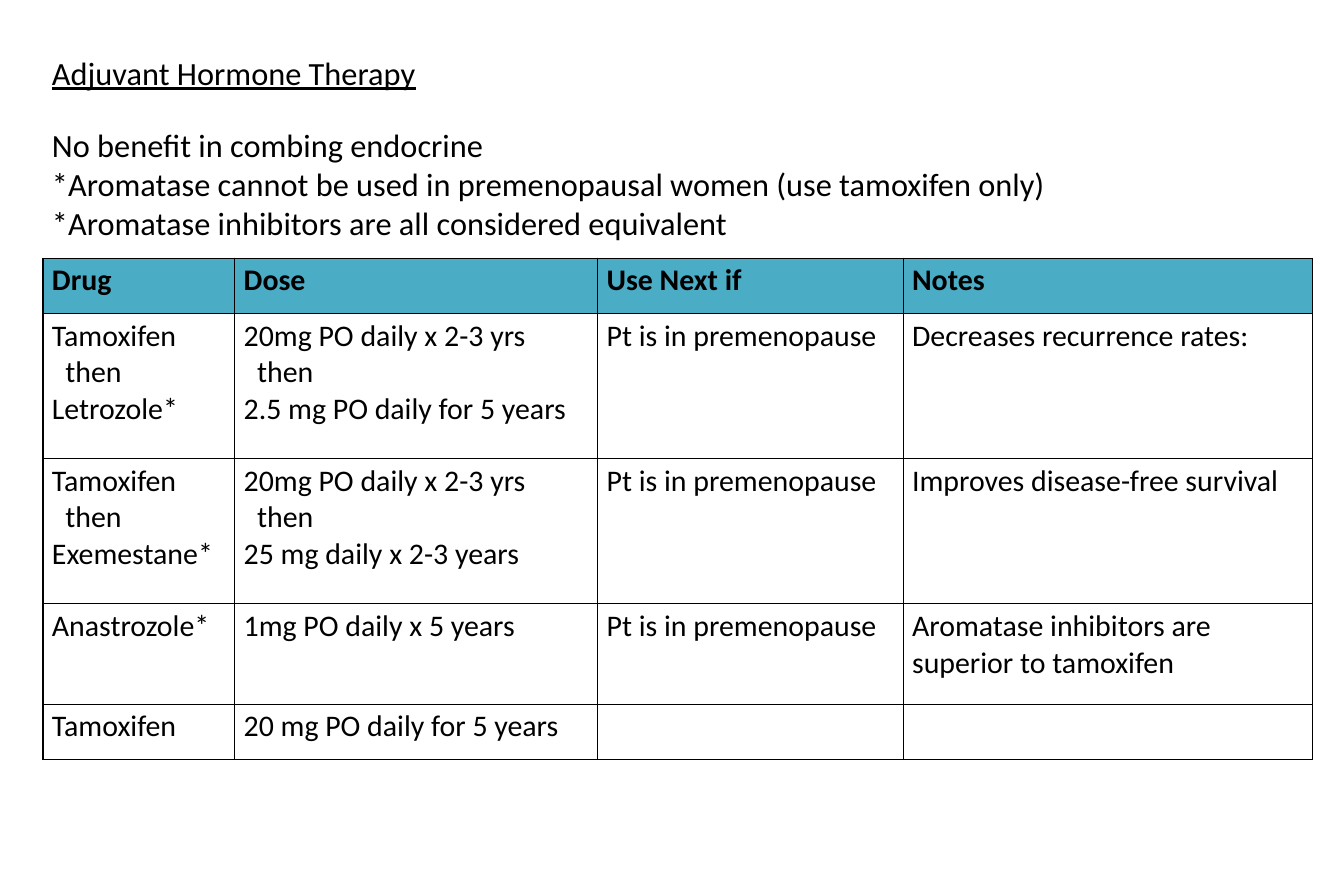
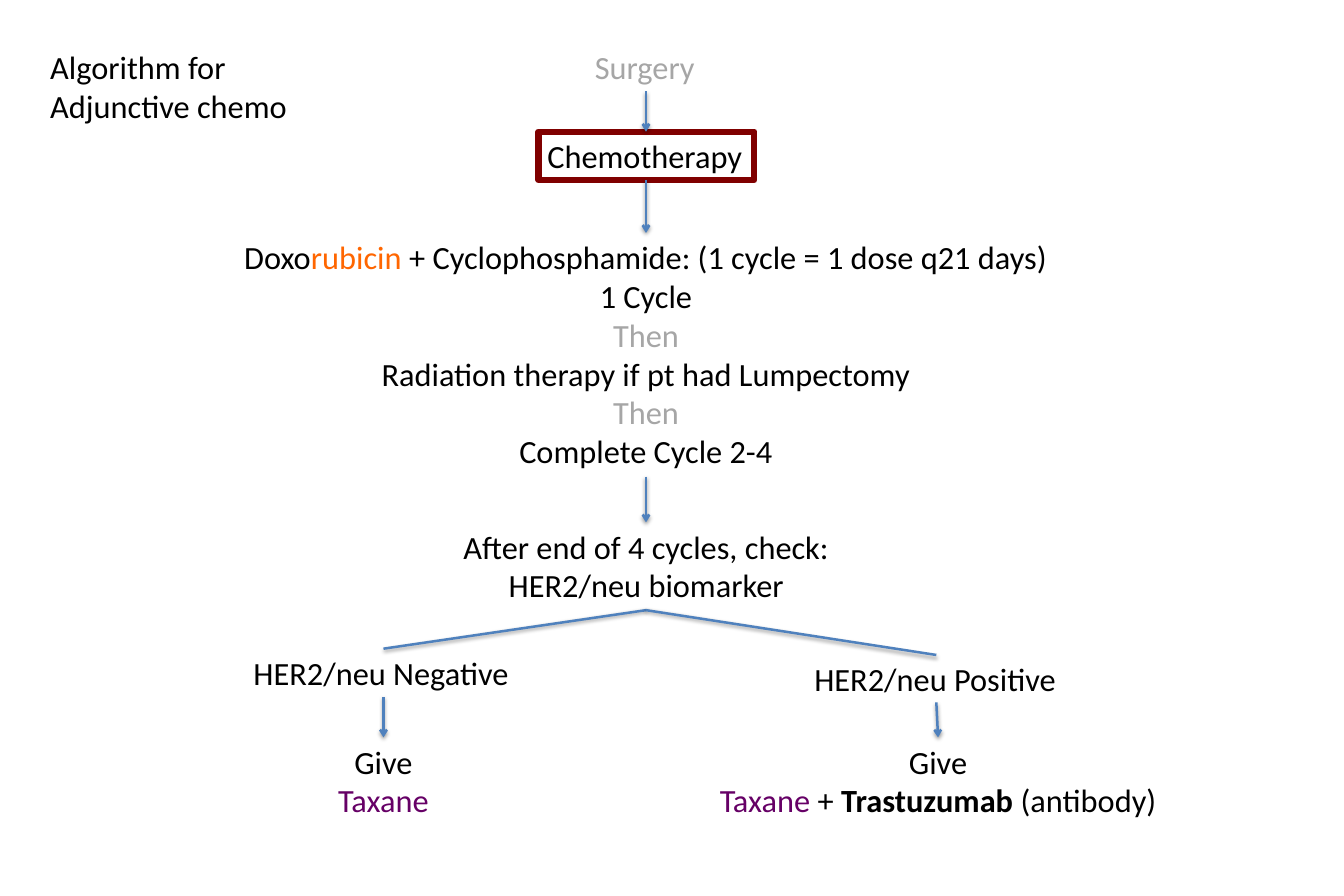
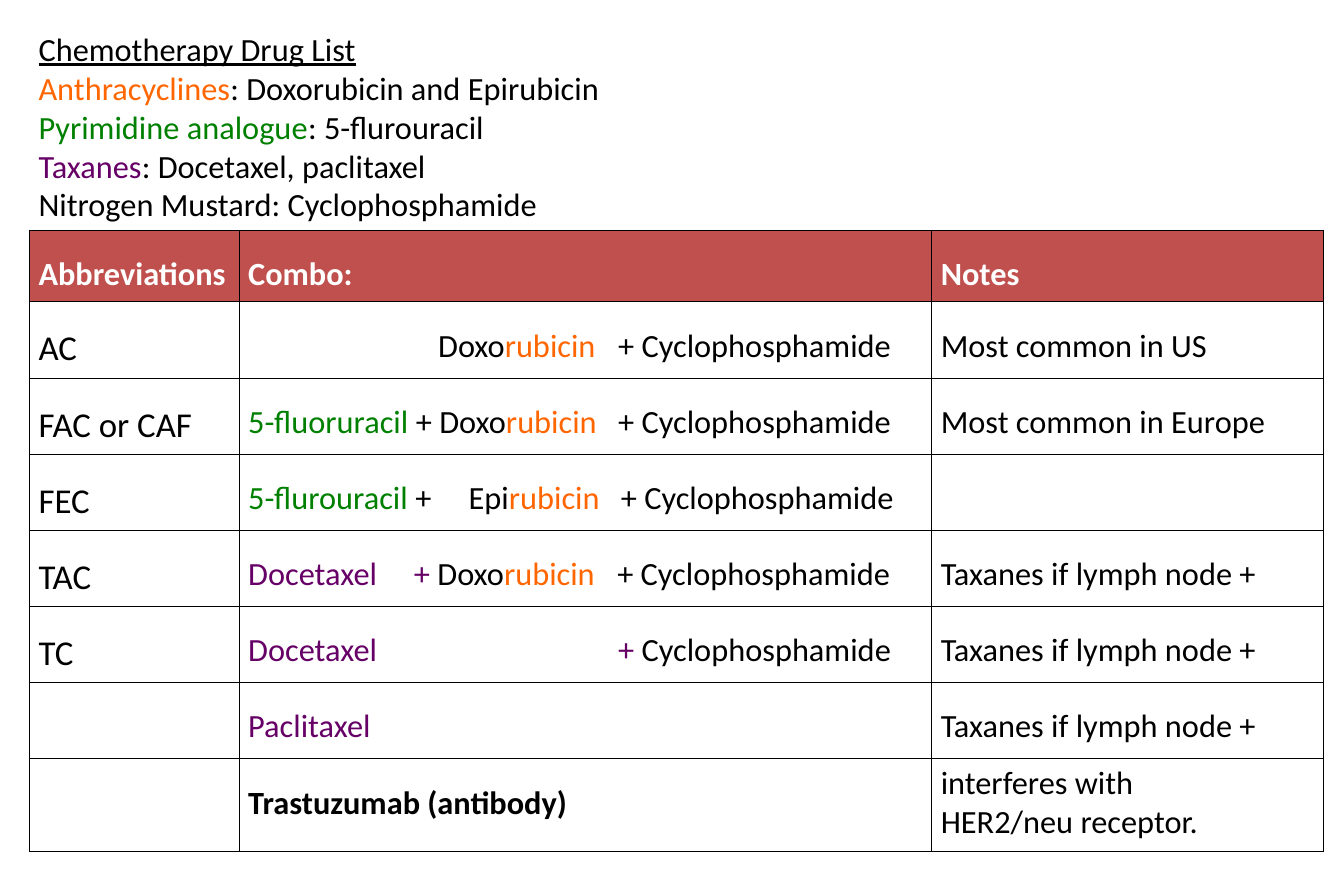
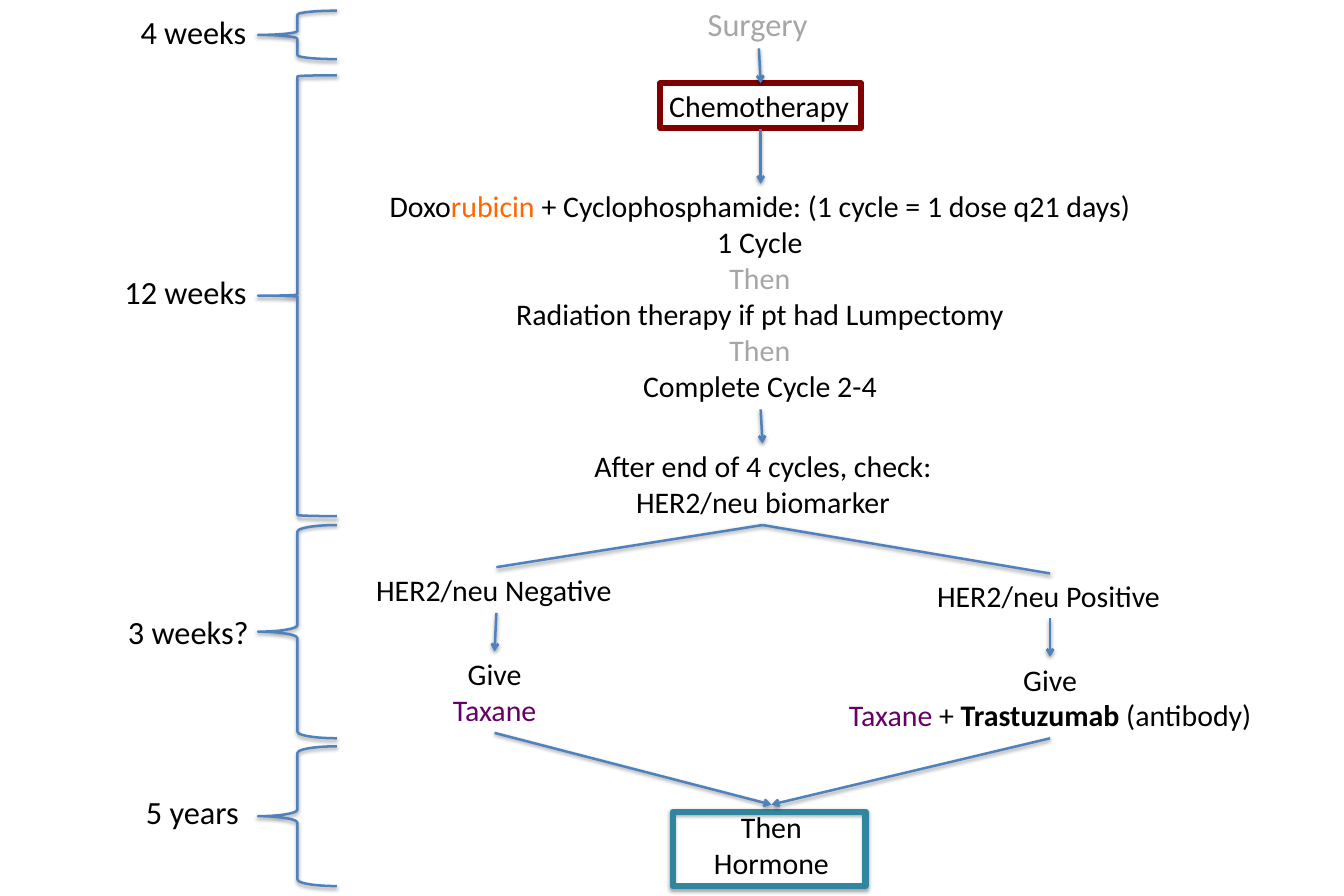
"""Build four slides on adjuvant hormone therapy and chemotherapy."""
from lxml.etree import SubElement
from pptx import Presentation
from pptx.dml.color import RGBColor
from pptx.enum.shapes import MSO_CONNECTOR, MSO_SHAPE
from pptx.enum.text import MSO_ANCHOR, MSO_AUTO_SIZE, PP_ALIGN
from pptx.oxml.ns import qn
from pptx.util import Pt

PX = 9144
BLACK, WHITE, GREY, BLUE = "000000", "FFFFFF", "A6A6A6", "4F81BD"
ORANGE, GREEN, PURPLE, MAROON, TEAL = "FF6600", "008000", "660066", "800000", "31859C"


def write(frame, paragraphs, size=26, align=PP_ALIGN.LEFT, spacing=1.0,
          colour=BLACK, bold=False, underline=False, **frame_format):
    """Fill a frame; a paragraph is a string or a list of strings and (text, colour, bold) runs."""
    for name, value in frame_format.items():
        setattr(frame, name, value)
    for index, runs in enumerate(paragraphs):
        paragraph = frame.paragraphs[0] if index == 0 else frame.add_paragraph()
        paragraph_format = {"alignment": align, "line_spacing": spacing, "space_before": Pt(0)}
        for name, value in paragraph_format.items():
            setattr(paragraph, name, value)
        for part in [runs] if isinstance(runs, str) else runs:
            text, hue, heavy = (part, colour, bold) if isinstance(part, str) else part
            run = paragraph.add_run()
            run.text = text
            font_format = {"name": "Calibri", "size": Pt(size), "bold": heavy, "underline": underline}
            for name, value in font_format.items():
                setattr(run.font, name, value)
            run.font.color.rgb = RGBColor.from_string(hue)


def place(holder, bounds, paragraphs, **style):
    """Move a placeholder and fill it with plain, unbulleted text."""
    for name, value in zip(("left", "top", "width", "height"), bounds):
        setattr(holder, name, value * PX)
    write(holder.text_frame, paragraphs, vertical_anchor=MSO_ANCHOR.TOP,
          auto_size=MSO_AUTO_SIZE.NONE, **style)
    for paragraph in holder.text_frame.paragraphs:
        properties = paragraph._p.get_or_add_pPr()
        properties.set("marL", "0")
        properties.set("indent", "0")
        SubElement(properties, qn("a:buNone"))


deck = Presentation()
deck.slide_width, deck.slide_height = 1500 * PX, 1000 * PX
hormone, algorithm, drug_list, timeline = [
    deck.slides.add_slide(deck.slide_layouts[number]) for number in (1, 5, 1, 6)]

place(hormone.shapes.title, (48, 54, 431, 54), ["Adjuvant Hormone Therapy"], underline=True)
place(hormone.placeholders[1], (48, 135, 1196, 141), [
    "No benefit in combing endocrine",
    "*Aromatase cannot be used in premenopausal women (use tamoxifen only)",
    "*Aromatase inhibitors are all considered equivalent",
])
place(algorithm.shapes.title, (46, 48, 287, 98), ["Algorithm for", "Adjunctive chemo"])
place(drug_list.shapes.title, (33, 27, 655, 49), ["Chemotherapy Drug List"],
      underline=True, margin_bottom=0)
place(drug_list.placeholders[1], (33, 76, 655, 180), [
    [("Anthracyclines", ORANGE, False), ": Doxorubicin and Epirubicin"],
    [("Pyrimidine analogue", GREEN, False), ": 5-flurouracil"],
    [("Taxanes", PURPLE, False), ": Docetaxel, paclitaxel"],
    "Nitrogen Mustard: Cyclophosphamide",
], margin_top=0)

premenopause = ["Pt is in premenopause"]
hormone_rows = [
    [["Drug"], ["Dose"], ["Use Next if"], ["Notes"]],
    [["Tamoxifen", "then", "Letrozole*"],
     ["20mg PO daily x 2-3 yrs", "then", "2.5 mg PO daily for 5 years"],
     premenopause, ["Decreases recurrence rates:"]],
    [["Tamoxifen", "then", "Exemestane*"],
     ["20mg PO daily x 2-3 yrs", "then", "25 mg daily x 2-3 years"],
     premenopause, ["Improves disease-free survival"]],
    [["Anastrozole*"], ["1mg PO daily x 5 years"],
     premenopause, ["Aromatase inhibitors are superior to tamoxifen"]],
    [["Tamoxifen"], ["20 mg PO daily for 5 years"], [], []],
]

rubicin = ("rubicin", ORANGE, False)
cyclo = "\t+ Cyclophosphamide"
lymph_node = ["Taxanes if lymph node +"]
trastuzumab = ("Trastuzumab", BLACK, True)
combo_rows = [
    [["Abbreviations"], ["Combo:"], ["Notes"]],
    [["AC"], [["\tDoxo", rubicin, cyclo]], ["Most common in US"]],
    [["FAC or CAF"], [[("5-fluoruracil ", GREEN, False), "+ Doxo", rubicin, cyclo]],
     ["Most common in Europe"]],
    [["FEC"], [[("5-flurouracil ", GREEN, False), "+\tEpi", rubicin, cyclo]], []],
    [["TAC"], [[("Docetaxel\t+ ", PURPLE, False), "Doxo", rubicin, cyclo]], lymph_node],
    [["TC"], [[("Docetaxel\t+ ", PURPLE, False), "Cyclophosphamide"]], lymph_node],
    [[], [[("Paclitaxel", PURPLE, False)]], lymph_node],
    [[], [[trastuzumab, (" (antibody)", BLACK, True)]],
     ["interferes with", "HER2/neu receptor."]],
]
combo_tabs = {1: [212, 413], 2: [413], 3: [246, 416], 4: [185, 412], 5: [413]}

for slide, left, top, widths, heights, rows, sizes, spacing, band, heading, tabs in [
    (hormone, 48, 288, [214, 405, 341, 457], [62, 162, 162, 112, 62],
     hormone_rows, [24] * 4, 1.0, "4BACC6", BLACK, {}),
    (drug_list, 33, 257, [234, 773, 437], [80] + [85] * 6 + [103],
     combo_rows, [28, 26, 26], 1.5, "C0504D", WHITE, combo_tabs),
]:
    grid = slide.shapes.add_table(len(rows), len(widths), left * PX, top * PX,
                                  sum(widths) * PX, sum(heights) * PX).table
    grid.first_row = grid.horz_banding = False
    for column, width in zip(grid.columns, widths):
        column.width = width * PX
    for row_number, (row, height, texts) in enumerate(zip(grid.rows, heights, rows)):
        row.height = height * PX
        header = row_number == 0
        for cell, text, size in zip(row.cells, texts, sizes):
            write(cell.text_frame, text, size=sizes[-1] if header else size,
                  spacing=spacing if len(text) == 1 else 1.0,
                  colour=heading if header else BLACK, bold=header)
            properties = cell._tc.get_or_add_tcPr()
            for side in ("a:lnL", "a:lnR", "a:lnT", "a:lnB"):
                border = SubElement(properties, qn(side), w=str(Pt(1)))
                SubElement(SubElement(border, qn("a:solidFill")), qn("a:srgbClr"), val=BLACK)
            if header:
                cell.fill.solid()
                cell.fill.fore_color.rgb = RGBColor.from_string(band)
            else:
                cell.fill.background()
            for paragraph in cell.text_frame.paragraphs:
                if paragraph.text == "then":
                    paragraph._p.get_or_add_pPr().set("marL", str(15 * PX))
        if row_number in tabs:
            combo = row.cells[1].text_frame.paragraphs[0]
            stops = SubElement(combo._p.get_or_add_pPr(), qn("a:tabLst"))
            for stop in tabs[row_number]:
                SubElement(stops, qn("a:tab"), pos=str(stop * PX), algn="l")

surgery = [[("Surgery", GREY, False)]]
then = [("Then", GREY, False)]
taxane = ("Taxane", PURPLE, False)
flow_steps = [
    ["Chemotherapy"],
    [["Doxo", ("rubicin ", ORANGE, False), "+ Cyclophosphamide: (1 cycle = 1 dose q21 days)"],
     "1 Cycle", then, "Radiation therapy if pt had Lumpectomy", then, "Complete Cycle 2-4"],
    ["After end of 4 cycles, check:", "HER2/neu biomarker"],
    ["HER2/neu Negative"],
    ["HER2/neu Positive"],
    ["Give", [taxane]],
    ["Give", [taxane, " + ", trastuzumab, " (antibody)"]],
]
algorithm_bounds = [(601, 147, 241, 54), (257, 260, 928, 273), (505, 583, 433, 98),
                    (273, 724, 309, 54), (899, 731, 293, 54),
                    (365, 823, 126, 98), (780, 823, 534, 98)]
timeline_bounds = [(737, 93, 224, 50), (419, 205, 858, 252), (651, 495, 401, 91),
                   (410, 633, 287, 50), (1036, 640, 272, 50),
                   (493, 727, 118, 91), (925, 733, 494, 91)]
algorithm_arrows = [(721, 102, 721, 147), (721, 201, 721, 260), (721, 532, 721, 583),
                    (428, 778, 428, 823), (1045, 784, 1047, 823)]
timeline_arrows = [(847, 54, 849, 93), (849, 144, 849, 205), (849, 457, 851, 495),
                   (554, 684, 552, 727), (1172, 690, 1172, 733),
                   (552, 818, 861, 898), (1172, 824, 861, 898)]
algorithm_forks = [(721, 681, 428, 724), (721, 681, 1045, 731)]
timeline_forks = [(851, 586, 554, 633), (851, 586, 1172, 640)]
durations = [
    ("4 weeks", (147, 9, 140, 54), (12, 54), 0.083),
    ("12 weeks", (129, 299, 159, 54), (84, 492), 0.014),
    ("3 weeks?", (133, 678, 157, 54), (586, 238), 0.083),
    ("5 years", (153, 879, 126, 54), (833, 156), 0.083),
]

hormone_box = timeline.shapes.add_shape(
    MSO_SHAPE.RECTANGLE, 751 * PX, 906 * PX, 215 * PX, 83 * PX)
hormone_box.fill.background()
hormone_box.line.color.rgb = RGBColor.from_string(TEAL)
hormone_box.line.width = Pt(5)

for slide, size, bounds, arrows, forks, extras in [
    (algorithm, 26, algorithm_bounds, algorithm_arrows, algorithm_forks,
     [((654, 48, 134, 54), surgery, 26)]),
    (timeline, 24, timeline_bounds, timeline_arrows, timeline_forks,
     [((780, 0, 134, 54), surgery, 26), ((786, 898, 150, 91), ["Then", "Hormone"], 24)]
     + [(label_bounds, [label], 26) for label, label_bounds, _, _ in durations]),
]:
    steps = [(spot, text, size) for spot, text in zip(bounds, flow_steps)]
    for spot, text, text_size in steps + extras:
        step = slide.shapes.add_textbox(*[length * PX for length in spot])
        write(step.text_frame, text, size=text_size,
              align=PP_ALIGN.CENTER if len(text) > 1 else PP_ALIGN.LEFT,
              word_wrap=False, auto_size=MSO_AUTO_SIZE.SHAPE_TO_FIT_TEXT)
        if text == ["Chemotherapy"]:
            step.line.color.rgb = RGBColor.from_string(MAROON)
            step.line.width = Pt(5)
    for ends in arrows + forks:
        link = slide.shapes.add_connector(MSO_CONNECTOR.STRAIGHT, *[end * PX for end in ends])
        link.line.color.rgb = RGBColor.from_string(BLUE)
        link.line.width = Pt(2)
        if ends in arrows:
            SubElement(link.element.spPr.find(qn("a:ln")), qn("a:tailEnd"), type="arrow")

for _, _, (top, height), curl in durations:
    brace = timeline.shapes.add_shape(MSO_SHAPE.LEFT_BRACE, 288 * PX, top * PX, 88 * PX, height * PX)
    brace.adjustments[0] = curl
    brace.fill.background()
    brace.line.color.rgb = RGBColor.from_string(BLUE)
    brace.line.width = Pt(2)
    brace.element.find(".//" + qn("a:effectRef")).set("idx", "1")

deck.save("out.pptx")
